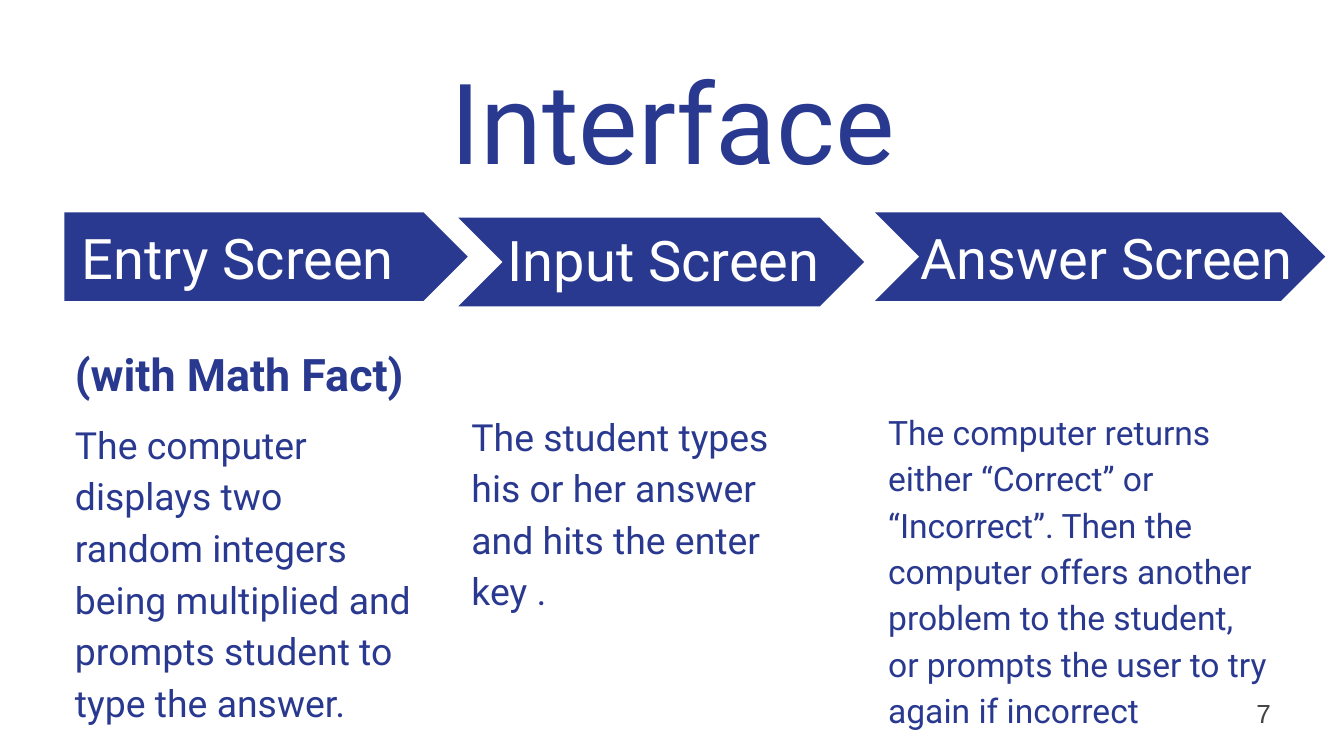
import pptx
import pptx.dml.color
import pptx.enum.shapes
import pptx.enum.text
import pptx.util
from dataclasses import dataclass

Inches = pptx.util.Inches
SHAPES = pptx.enum.shapes.MSO_SHAPE
ALIGN = pptx.enum.text.PP_ALIGN
ANCHOR = pptx.enum.text.MSO_ANCHOR


@dataclass(frozen=True)
class Theme:
    navy: str = "2A3990"
    white: str = "FFFFFF"
    grey: str = "434343"
    font: str = "Roboto"
    number_font: str = "Arial"
    title: int = 60
    step: int = 30
    heading: int = 24
    body: int = 20
    small: int = 18
    number: int = 14


THEME = Theme()


def rgb(color):
    return pptx.dml.color.RGBColor.from_string(color)


def set_frame(tf, inset=0.1, anchor=ANCHOR.TOP):
    tf.word_wrap = True
    tf.auto_size = pptx.enum.text.MSO_AUTO_SIZE.NONE
    tf.vertical_anchor = anchor
    tf.margin_left = tf.margin_right = Inches(inset)
    tf.margin_top = tf.margin_bottom = Inches(inset)


def set_text(p, text, size, color, font=THEME.font, bold=False, align=ALIGN.LEFT):
    p.text = text
    p.alignment = align
    p.font.size = pptx.util.Pt(size)
    p.font.name = font
    p.font.bold = bold
    p.font.color.rgb = rgb(color)


def add_box(slide, box, anchor=ANCHOR.TOP):
    tf = slide.shapes.add_textbox(*map(Inches, box)).text_frame
    set_frame(tf, anchor=anchor)
    return tf


def add_title(slide, box, text):
    sp = slide.shapes.title
    sp.left, sp.top, sp.width, sp.height = map(Inches, box)
    set_frame(sp.text_frame)
    set_text(sp.text_frame.paragraphs[0], text, THEME.title, THEME.navy,
             align=ALIGN.CENTER)


def add_step(slide, box, kind, text, label=None):
    """Arrow with its name; label is a text area relative to the arrow's corner."""
    sp = slide.shapes.add_shape(kind, *map(Inches, box))
    sp.adjustments[0] = 0.5
    sp.shadow.inherit = False
    sp.fill.solid()
    sp.fill.fore_color.rgb = rgb(THEME.navy)
    sp.line.fill.background()
    if label:
        dx, dy, width, height = label
        tf = add_box(slide, (box[0] + dx, box[1] + dy, width, height), ANCHOR.MIDDLE)
    else:
        tf = sp.text_frame
        set_frame(tf, 0.13, ANCHOR.MIDDLE)
    set_text(tf.paragraphs[0], text, THEME.step, THEME.white)


def add_description(slide, box, text, size, heading=None):
    tf = add_box(slide, box)
    p = tf.paragraphs[0]
    if heading:
        set_text(p, heading, THEME.heading, THEME.navy, bold=True)
        p = tf.add_paragraph()
    set_text(p, text, size, THEME.navy)
    for p in tf.paragraphs:
        p.line_spacing = 1.15
        p.space_after = pptx.util.Pt(8)


def add_number(slide, box, text):
    tf = add_box(slide, box, ANCHOR.MIDDLE)
    set_text(tf.paragraphs[0], text, THEME.number, THEME.grey, THEME.number_font)


def main():
    prs = pptx.Presentation()
    # Widescreen, 16:9
    prs.slide_width = Inches(10)
    prs.slide_height = prs.slide_width * 9 // 16
    slide = prs.slides.add_slide(prs.slide_layouts[5])
    add_title(slide, (0.46, 0.29, 9.09, 1.19), "Interface")

    # Process arrows
    add_step(slide, (0.48, 1.58, 3, 0.66), SHAPES.PENTAGON, "Entry Screen")
    add_step(slide, (3.41, 1.62, 3.02, 0.66), SHAPES.CHEVRON, "Input Screen",
             (0.27, 0.07, 2.7, 0.48))
    add_step(slide, (6.51, 1.58, 3.35, 0.66), SHAPES.CHEVRON, "Answer Screen",
             (0.24, 0.12, 3.02, 0.43))

    # Descriptions under the arrows
    add_description(slide, (0.46, 2.42, 2.7, 3.2),
                    "The computer displays two random integers being multiplied "
                    "and prompts student to type the answer.",
                    THEME.body, heading="(with Math Fact)")
    add_description(slide, (3.41, 2.93, 2.7, 2.39),
                    "The student types his or her answer and hits the enter key .",
                    THEME.body)
    add_description(slide, (6.51, 2.92, 3.02, 2.65),
                    "The computer returns either “Correct” or “Incorrect”. Then the "
                    "computer offers another problem to the student, or prompts the "
                    "user to try again if incorrect", THEME.small)

    add_number(slide, (9.25, 5.09, 0.6, 0.43), "7")
    prs.save("out.pptx")


if __name__ == "__main__":
    main()
